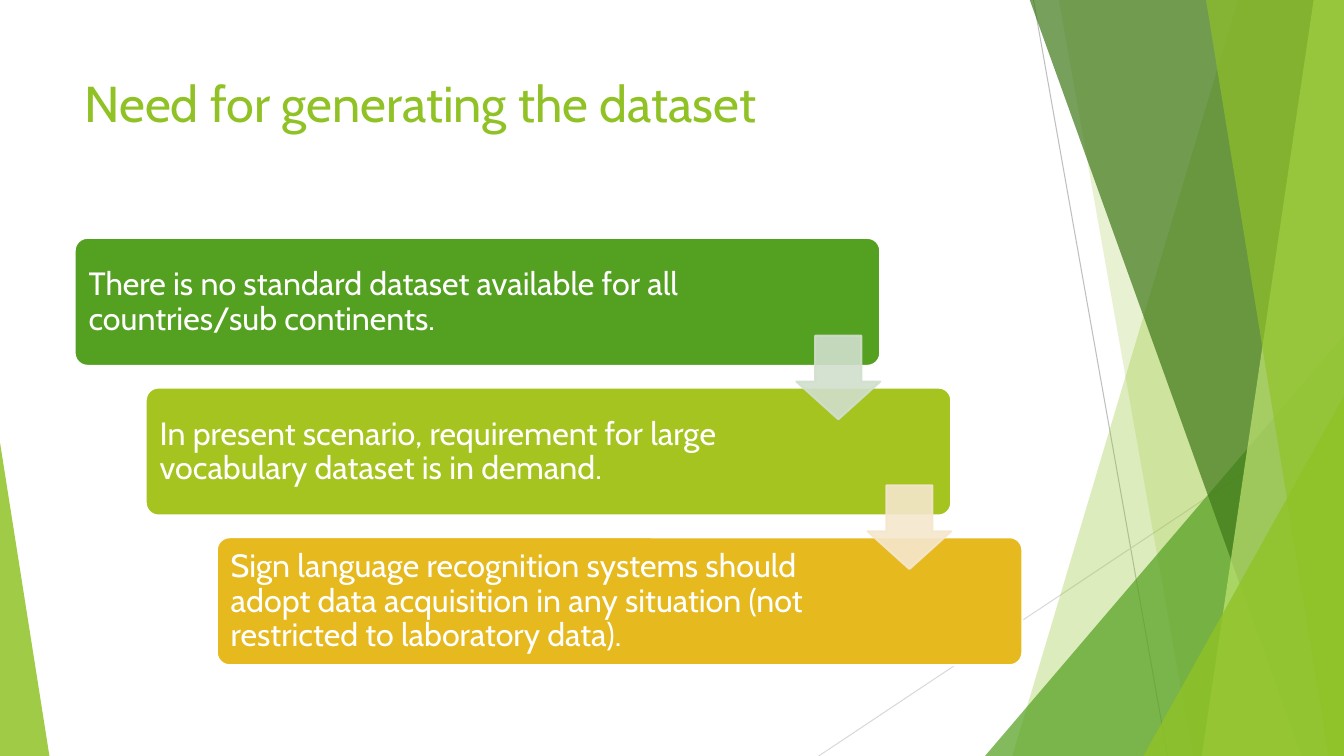
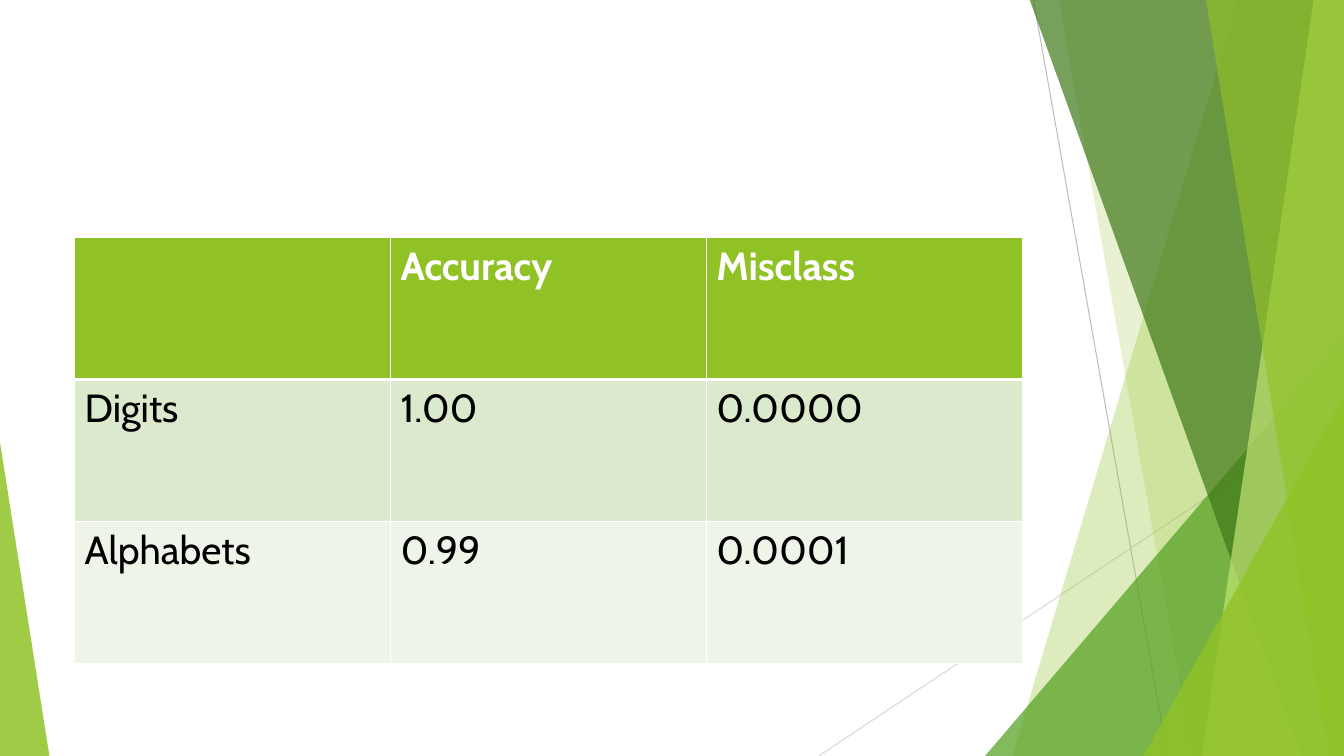
from lxml import etree
from pptx import Presentation
from pptx.dml.color import RGBColor
from pptx.enum import shapes, text
from pptx.oxml.ns import qn
from pptx.util import Inches, Pt

FONT = "Cabin"
WHITE = RGBColor(0xFF, 0xFF, 0xFF)
BLACK = RGBColor(0x00, 0x00, 0x00)
GREEN = RGBColor(0x90, 0xC2, 0x26)
MID_GREEN = RGBColor(0x54, 0xA0, 0x21)
DARK_GREEN = RGBColor(0x3F, 0x78, 0x19)
PALE_GREEN = RGBColor(0xC0, 0xE4, 0x74)
LIME = RGBColor(0xA5, 0xC4, 0x1F)
GOLD = RGBColor(0xE6, 0xB9, 0x1E)
ARROW_GREEN = RGBColor(0xD1, 0xDF, 0xCD)
ARROW_CREAM = RGBColor(0xF5, 0xE7, 0xCD)
ROW_DARK = RGBColor(0xDB, 0xE9, 0xCD)
ROW_LIGHT = RGBColor(0xEE, 0xF4, 0xE8)
GREY = RGBColor(0xBF, 0xBF, 0xBF)
LIGHT_GREY = RGBColor(0xD9, 0xD9, 0xD9)

WIDTH, HEIGHT = 13.33, 7.5
LEFT, TOP, BODY_W = 0.74, 2.36, 9.4
TRIANGLE = shapes.MSO_SHAPE.ISOSCELES_TRIANGLE

RAYS = [(10.25, 0, 11.58, HEIGHT, GREY), (WIDTH, 4.03, 8.12, HEIGHT, LIGHT_GREY)]
SHARDS = [
    ("band", (12.28, 10.04), GREEN, 30),
    ("band", (10.5, 11.83), GREEN, 20),
    ("triangle", (9.77, 3.33, 3.56, 1), MID_GREEN, 72),
    ("band", (10.21, 12.91), DARK_GREEN, 70),
    ("band", (13.03, 11.92), PALE_GREEN, 70),
    ("band", (11.96, 13.18), GREEN, 65),
    ("triangle", (11.34, 3.93, 1.99, 1), GREEN, 80),
    ("triangle", (0, 4.39, 0.49, 0), GREEN, 85),
]


def paint(sp, color, alpha=100, line=None):
    sp.shadow.inherit = False
    sp.fill.solid()
    sp.fill.fore_color.rgb = color
    if line is None:
        sp.line.fill.background()
    else:
        sp.line.color.rgb = line
        sp.line.width = Pt(1.5)
    if alpha < 100:
        for clr in sp._element.spPr.iter(qn("a:srgbClr")):
            etree.SubElement(clr, qn("a:alpha"), val=str(alpha * 1000))


def write(tf, words, **font):
    r = tf.paragraphs[0].add_run()
    r.text = words
    r.font.color.rgb = font.pop("color")
    for name, value in {"name": FONT, **font}.items():
        setattr(r.font, name, value)


prs = Presentation()
prs.slide_width, prs.slide_height = Inches(WIDTH), Inches(HEIGHT)
slides = [prs.slides.add_slide(prs.slide_layouts[6]) for _ in range(2)]

for s in slides:
    for x1, y1, x2, y2, color in RAYS:
        ln = s.shapes.add_connector(
            shapes.MSO_CONNECTOR.STRAIGHT, Inches(x1), Inches(y1), Inches(x2), Inches(y2))
        ln.line.color.rgb = color
        ln.line.width = Pt(0.75)
        etree.SubElement(ln._element.spPr, qn("a:effectLst"))
    for kind, place, color, alpha in SHARDS:
        if kind == "band":
            top_x, bottom_x = place
            fb = s.shapes.build_freeform(Inches(top_x), Inches(-0.01))
            corners = [(WIDTH, -0.01), (WIDTH, HEIGHT), (bottom_x, HEIGHT)]
            fb.add_line_segments([(Inches(x), Inches(y)) for x, y in corners])
            sp = fb.convert_to_shape()
        else:
            x, y, w, tip = place
            sp = s.shapes.add_shape(TRIANGLE, Inches(x), Inches(y), Inches(w), Inches(HEIGHT - y))
            sp.adjustments[0] = tip
        paint(sp, color, alpha)

s = slides[0]
tb = s.shapes.add_textbox(Inches(LEFT), Inches(0.67), Inches(BODY_W), Inches(1.44))
tb.text_frame.word_wrap = True
write(tb.text_frame, "Need for generating the dataset", size=Pt(36), color=GREEN)

STEP_X, STEP_Y, BOX_W, BOX_H, ARROW = 0.705, 1.485, 7.99, 1.27, 0.83
steps = [
    ("There is no standard dataset available for all countries/sub continents.", MID_GREEN, 6.62),
    ("In present scenario, requirement for large vocabulary dataset is in demand.", LIME, 6.38),
    ("Sign language recognition systems should adopt data acquisition in any situation "
     "(not restricted to laboratory data).", GOLD, 6.38),
]
for i, (words, color, text_w) in enumerate(steps):
    x, y = LEFT + i * STEP_X, TOP + i * STEP_Y
    sp = s.shapes.add_shape(
        shapes.MSO_SHAPE.ROUNDED_RECTANGLE, Inches(x), Inches(y), Inches(BOX_W), Inches(BOX_H))
    sp.adjustments[0] = 0.1
    paint(sp, color, line=WHITE)
    tb = s.shapes.add_textbox(Inches(x + 0.04), Inches(y + 0.04), Inches(text_w), Inches(1.2))
    tf = tb.text_frame
    frame = {"word_wrap": True, "vertical_anchor": text.MSO_ANCHOR.MIDDLE}
    frame.update({f"margin_{side}": Inches(0.1) for side in ("left", "top", "right", "bottom")})
    for name, value in frame.items():
        setattr(tf, name, value)
    tf.paragraphs[0].line_spacing = 0.9
    write(tf, words, size=Pt(23), color=WHITE)

for i, color in enumerate((ARROW_GREEN, ARROW_CREAM)):
    x, y = LEFT + BOX_W - ARROW + i * STEP_X, 3.33 + i * STEP_Y
    sp = s.shapes.add_shape(
        shapes.MSO_SHAPE.DOWN_ARROW, Inches(x), Inches(y), Inches(ARROW), Inches(ARROW))
    sp.adjustments[0], sp.adjustments[1] = 0.55, 0.45
    paint(sp, color, 90, line=color)

s = slides[1]
rows = [
    ("", "Accuracy", "Misclass"),
    ("Digits", "1.00", "0.0000"),
    ("Alphabets", "0.99", "0.0001"),
]
table = s.shapes.add_table(3, 3, Inches(LEFT), Inches(TOP), Inches(BODY_W), Inches(4.22)).table
for i, (row, fill) in enumerate(zip(rows, (GREEN, ROW_DARK, ROW_LIGHT))):
    header = i == 0
    widths = {"L": 1, "R": 1, "T": 3 if i == 1 else 1, "B": 3 if header else 1}
    for j, words in enumerate(row):
        cell = table.cell(i, j)
        tcPr = cell._tc.get_or_add_tcPr()
        for side, width in widths.items():
            ln = etree.SubElement(tcPr, qn(f"a:ln{side}"), w=str(Pt(width)))
            solid = etree.SubElement(ln, qn("a:solidFill"))
            etree.SubElement(solid, qn("a:srgbClr"), val=str(WHITE))
        cell.fill.solid()
        cell.fill.fore_color.rgb = fill
        if words:
            write(cell.text_frame, words, size=Pt(28), bold=header,
                  color=WHITE if header else BLACK)

prs.save("out.pptx")
